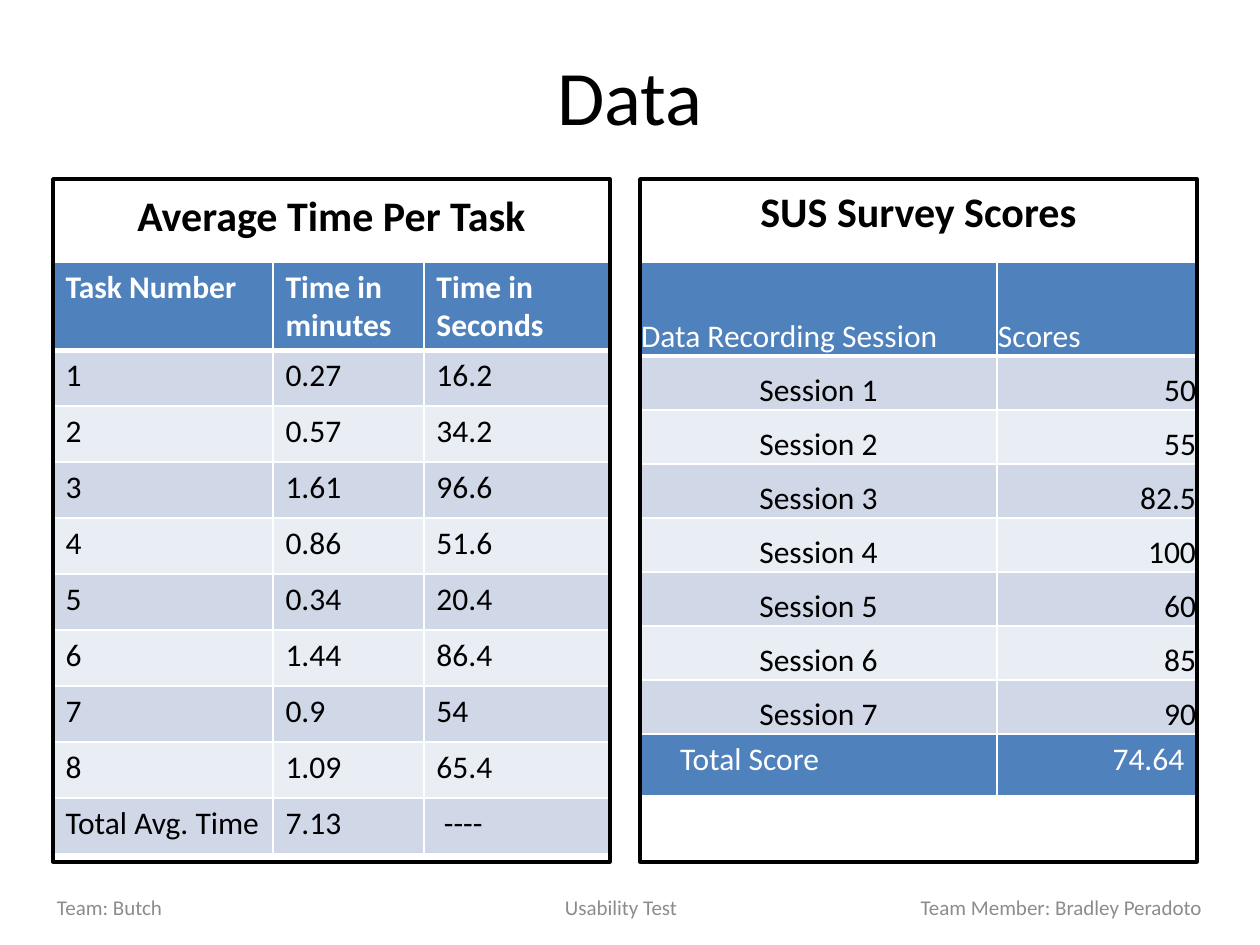
from lxml import etree
from pptx import Presentation
from pptx.dml.color import RGBColor
from pptx.enum.shapes import MSO_SHAPE
from pptx.enum.text import MSO_ANCHOR, PP_ALIGN
from pptx.oxml.ns import qn
from pptx.util import Pt

LEFT, CENTER, RIGHT = PP_ALIGN.LEFT, PP_ALIGN.CENTER, PP_ALIGN.RIGHT
TOP, MIDDLE, BOTTOM = MSO_ANCHOR.TOP, MSO_ANCHOR.MIDDLE, MSO_ANCHOR.BOTTOM
RECTANGLE = MSO_SHAPE.RECTANGLE
PX = 914400 / 126
COLORS = {
    "black": "000000", "white": "FFFFFF", "gray": "8C8C8C",
    "header": "4F81BD", "dark band": "D0D8E8", "light band": "E9EDF4",
}


def emu(*pixels):
    return [round(value * PX) for value in pixels]


def write(holder, text, size, color, align, bold=False):
    """Fill a text box or a cell with one formatted paragraph."""
    holder.text_frame.text = text
    para = holder.text_frame.paragraphs[0]
    para.alignment = align
    for span in para.runs:
        span.font.name = "Calibri"
        span.font.size = Pt(size)
        span.font.bold = bold
        span.font.color.rgb = RGBColor.from_string(COLORS[color])
    return para


deck = Presentation()
deck.slide_width, deck.slide_height = emu(1260, 945)
page = deck.slides.add_slide(deck.slide_layouts[6])

# Title and panel headings
for text, bounds, size, bold, anchor in [
    ("Data", (63, 42, 1134, 105), 44, False, MIDDLE),
    ("Average Time Per Task", (53, 179, 557, 67), 24, True, BOTTOM),
    ("SUS Survey Scores", (640, 179, 557, 63), 24, True, BOTTOM),
]:
    box = page.shapes.add_textbox(*emu(*bounds))
    box.text_frame.word_wrap = True
    box.text_frame.vertical_anchor = anchor
    write(box, text, size, "black", CENTER, bold)

# Tables
task_rows = [
    ("Task Number", "Time in minutes", "Time in Seconds"),
    ("1", "0.27", "16.2"),
    ("2", "0.57", "34.2"),
    ("3", "1.61", "96.6"),
    ("4", "0.86", "51.6"),
    ("5", "0.34", "20.4"),
    ("6", "1.44", "86.4"),
    ("7", "0.9", "54"),
    ("8", "1.09", "65.4"),
    ("Total Avg. Time", "7.13", "----"),
]
scores = ["50", "55", "82.5", "100", "60", "85", "90"]
survey_rows = [
    ("Data Recording Session", "Scores"),
    *[(f"Session {number}", score) for number, score in enumerate(scores, 1)],
    ("Total Score", "74.64"),
]

for rows, left, widths, heights, is_survey in [
    (task_rows, 53, [220, 151, 186], [88] + [56] * 9, False),
    (survey_rows, 640, [357, 200], [94] + [54] * 7 + [62], True),
]:
    frame = page.shapes.add_table(
        len(rows), len(widths), *emu(left, 262, sum(widths), sum(heights)))
    table = frame.table
    table.horz_banding = False
    for column, width in zip(table.columns, emu(*widths)):
        column.width = width
    for row, height in zip(table.rows, emu(*heights)):
        row.height = height

    for r, values in enumerate(rows):
        is_total = r == len(rows) - 1
        is_blue = r == 0 or (is_survey and is_total)
        band = "dark band" if r % 2 else "light band"
        for c, value in enumerate(values):
            cell = table.cell(r, c)
            align, anchor = LEFT, TOP
            if is_survey and r > 0:
                align = RIGHT if c else (LEFT if is_total else CENTER)
            if is_survey and not is_total:
                anchor = BOTTOM
                cell.margin_left, cell.margin_right, cell.margin_top = emu(1, 1, 1)
                cell.margin_bottom = 0
            if is_survey and is_total and c == 0:
                cell.margin_left = emu(40)[0]
            if value == "----":
                cell.margin_left = emu(20)[0]
            cell.vertical_anchor = anchor
            write(cell, value, 18, "white" if is_blue else "black", align,
                  bold=r == 0 and not is_survey)

            properties = cell._tc.get_or_add_tcPr()
            for side in ("lnL", "lnR", "lnT", "lnB"):
                thick = (r, side) in [(0, "lnB"), (1, "lnT")]
                line = etree.SubElement(properties, qn(f"a:{side}"),
                                        w=str(Pt(3 if thick else 1)))
                fill = etree.SubElement(line, qn("a:solidFill"))
                etree.SubElement(fill, qn("a:srgbClr"), val=COLORS["white"])
            cell.fill.solid()
            cell.fill.fore_color.rgb = RGBColor.from_string(
                COLORS["header" if is_blue else band])

# Panel outlines
for left in (53, 640):
    panel = page.shapes.add_shape(RECTANGLE, *emu(left, 179, 557, 683))
    panel.shadow.inherit = False
    panel.fill.background()
    panel.line.color.rgb = RGBColor.from_string(COLORS["black"])
    panel.line.width = Pt(2)

# Footer: three parts on centred and right tab stops
footer = page.shapes.add_textbox(*emu(57, 888, 1166, 38))
footer.text_frame.word_wrap = True
footer.text_frame.margin_left = footer.text_frame.margin_right = 0
footer.text_frame.vertical_anchor = MIDDLE
para = write(footer, "Team: Butch\tUsability Test\tTeam Member: Bradley Peradoto",
             12, "gray", LEFT)
tabs = etree.SubElement(para._p.get_or_add_pPr(), qn("a:tabLst"))
for position, kind in zip(emu(564, 1145), ("ctr", "r")):
    etree.SubElement(tabs, qn("a:tab"), pos=str(position), algn=kind)

deck.save("out.pptx")
